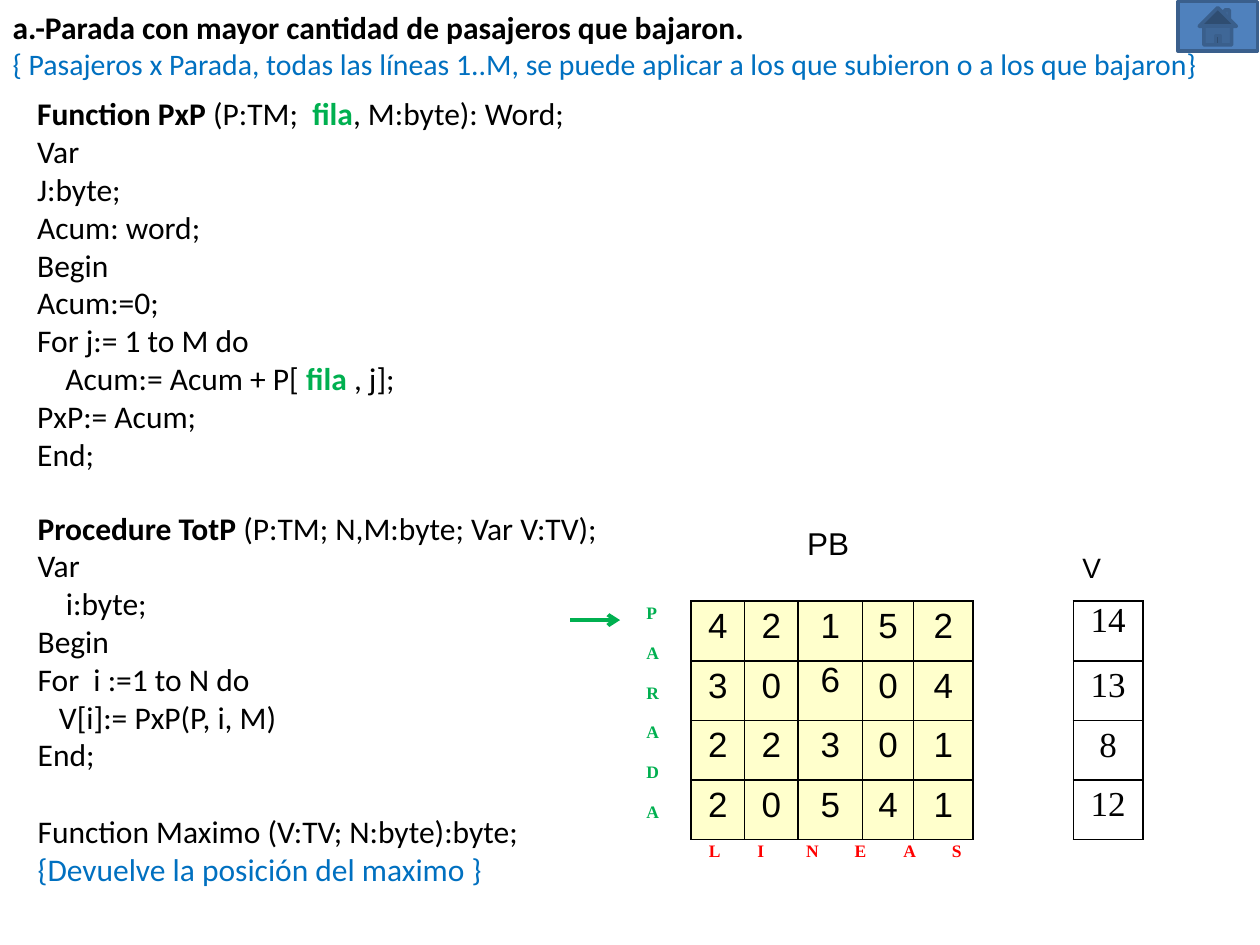
from lxml.etree import SubElement
from pptx import Presentation
from pptx.dml.color import RGBColor
from pptx.enum.shapes import MSO_CONNECTOR, MSO_SHAPE
from pptx.enum.text import MSO_ANCHOR, MSO_AUTO_SIZE, PP_ALIGN
from pptx.oxml.ns import qn
from pptx.util import Cm, Pt

COLORS = {
    "text": "000000", "comment": "0070C0", "stops": "00B050", "lines": "FF0000",
    "cell": "FFFFCC", "button": "4F81BD", "button_line": "3A5F8C",
}
PLAIN_TABLE_STYLE = "{2D5ABB26-0587-4C30-8999-92F81FD0307C}"
ROW_HEIGHT = 1.2

FUNCTION_CODE = [
    [("Function PxP ", {"bold": True}), ("(P:TM;  ", {}),
     ("fila", {"bold": True, "color": "stops"}), (", M:byte): Word;", {})],
    "Var",
    "J:byte;",
    "Acum: word;",
    "Begin",
    "Acum:=0;",
    "For j:= 1 to M do",
    [("Acum:= Acum + P[ ", {"indent": 0.57}),
     ("fila ", {"bold": True, "color": "stops"}), (", j];", {})],
    "PxP:= Acum;",
    "End;",
]
PROCEDURE_CODE = [
    [("Procedure TotP ", {"bold": True}), ("(P:TM; N,M:byte; Var V:TV);", {})],
    "Var",
    [("i:byte;", {"indent": 0.57})],
    "Begin",
    "For  i :=1 to N do",
    [("V[i]:= PxP(P, i, M)", {"indent": 0.43})],
    "End;",
    [("Function Maximo (V:TV; N:byte):byte;", {"before": 22})],
    [("{Devuelve la posición del maximo }", {"color": "comment"})],
]
PASSENGERS = [[4, 2, 1, 5, 2], [3, 0, 6, 0, 4], [2, 2, 3, 0, 1], [2, 0, 5, 4, 1]]
TOTALS = [14, 13, 8, 12]


def write(paragraph, text, size=18, font="Calibri", color="text", bold=False,
          align=None, spacing=None, before=None, after=None, indent=None):
    run = paragraph.add_run()
    run.text = text
    run.font.size, run.font.name, run.font.bold = Pt(size), font, bold
    run.font.color.rgb = RGBColor.from_string(COLORS[color])
    if align is not None:
        paragraph.alignment = align
    if spacing is not None:
        paragraph.line_spacing = spacing
    if before is not None:
        paragraph.space_before = Pt(before)
    if after is not None:
        paragraph.space_after = Pt(after)
    if indent is not None:
        properties = paragraph._p.get_or_add_pPr()
        properties.set("marL", str(Cm(indent)))
        properties.set("indent", "0")


def next_paragraph(text_frame, index):
    return text_frame.add_paragraph() if index else text_frame.paragraphs[0]


def add_heading(slide, box):
    title = slide.shapes.title
    title.left, title.top, title.width, title.height = map(Cm, box)
    frame = title.text_frame
    frame.word_wrap = True
    frame.auto_size = MSO_AUTO_SIZE.NONE
    frame.vertical_anchor = MSO_ANCHOR.TOP
    write(frame.paragraphs[0], "a.-Parada con mayor cantidad de pasajeros que bajaron.",
          bold=True, align=PP_ALIGN.LEFT)
    write(frame.add_paragraph(),
          "{ Pasajeros x Parada, todas las líneas 1..M, se puede aplicar "
          "a los que subieron o a los que bajaron}",
          size=17, color="comment", align=PP_ALIGN.LEFT)


def add_code(slide, box, lines):
    frame = slide.shapes.add_textbox(*map(Cm, box)).text_frame
    frame.word_wrap = True
    for index, line in enumerate(lines):
        paragraph = next_paragraph(frame, index)
        for text, options in [(line, {})] if isinstance(line, str) else line:
            write(paragraph, text, **options)


def add_home_button(slide, box):
    button = slide.shapes.add_shape(MSO_SHAPE.ACTION_BUTTON_HOME, *map(Cm, box))
    button.shadow.inherit = False
    button.fill.solid()
    button.fill.fore_color.rgb = RGBColor.from_string(COLORS["button"])
    button.line.color.rgb = RGBColor.from_string(COLORS["button_line"])
    button.line.width = Pt(2)


def add_plain_table(slide, left, top, widths, heights):
    """Add a table without style, with narrow cell margins."""
    frame = slide.shapes.add_table(len(heights), len(widths), Cm(left), Cm(top),
                                   Cm(sum(widths)), Cm(sum(heights)))
    table = frame.table
    table.first_row = table.horz_banding = False
    table._tbl.tblPr.find(qn("a:tableStyleId")).text = PLAIN_TABLE_STYLE
    for column, width in zip(table.columns, widths):
        column.width = Cm(width)
    for row, height in zip(table.rows, heights):
        row.height = Cm(height)
    for cell in table.iter_cells():
        cell.margin_left = cell.margin_right = Cm(0.18)
        cell.margin_top = cell.margin_bottom = 0
    return table


def add_borders(cell):
    properties = cell._tc.get_or_add_tcPr()
    for side in ("lnL", "lnR", "lnT", "lnB"):
        line = SubElement(properties, qn(f"a:{side}"), w=str(Pt(1)))
        SubElement(SubElement(line, qn("a:solidFill")), qn("a:srgbClr"), val=COLORS["text"])


def write_number(cell, number, font, spacing=1.15):
    add_borders(cell)
    write(cell.text_frame.paragraphs[0], str(number), size=20, font=font,
          align=PP_ALIGN.CENTER, spacing=spacing, after=10)


def write_spread(cell, letters, step):
    """Write letters in one line, spread by tab stops at equal steps."""
    cell.margin_left = Cm(0.36)
    paragraph = cell.text_frame.paragraphs[0]
    write(paragraph, "\t".join(letters), size=10, font="Times New Roman", color="lines",
          bold=True, align=PP_ALIGN.LEFT, spacing=1.15, after=10)
    stops = SubElement(paragraph._p.get_or_add_pPr(), qn("a:tabLst"))
    for index in range(1, len(letters)):
        SubElement(stops, qn("a:tab"), pos=str(Cm(step * index)), algn="l")


def add_passenger_matrix(slide, left, top):
    widths = [1.08, 1.08, 1.08, 1.3, 1.03, 1.19, 1.98]
    heights = [1.6] + [ROW_HEIGHT] * len(PASSENGERS) + [0.81]
    table = add_plain_table(slide, left, top, widths, heights)
    write(table.cell(0, 3).text_frame.paragraphs[0], "PB", font="Arial",
          align=PP_ALIGN.JUSTIFY, spacing=1.15, after=10)
    stops = table.cell(1, 0)
    stops.merge(table.cell(4, 0))
    for index, letter in enumerate("PARADA"):
        write(next_paragraph(stops.text_frame, index), letter, size=10,
              font="Times New Roman", color="stops", bold=True,
              align=PP_ALIGN.JUSTIFY, spacing=1.15, after=10)
    for row, numbers in enumerate(PASSENGERS, start=1):
        for column, number in enumerate(numbers, start=1):
            cell = table.cell(row, column)
            write_number(cell, number, "Arial", 1 if number == 6 else 1.15)
            cell.fill.solid()
            cell.fill.fore_color.rgb = RGBColor.from_string(COLORS["cell"])
    lines = table.cell(5, 1)
    lines.merge(table.cell(5, 5))
    write_spread(lines, "LINEAS", 0.98)


def add_total_vector(slide, left, top):
    table = add_plain_table(slide, left, top, [1.4], [1.8] + [ROW_HEIGHT] * len(TOTALS))
    header = table.cell(0, 0)
    header.margin_top = Cm(0.84)
    write(header.text_frame.paragraphs[0], "V", size=16, font="Arial",
          align=PP_ALIGN.JUSTIFY, after=10)
    for row, total in enumerate(TOTALS, start=1):
        write_number(table.cell(row, 0), total, "Times New Roman", 1 if row == 1 else 1.15)


def add_row_arrow(slide, left, top, length):
    arrow = slide.shapes.add_connector(MSO_CONNECTOR.STRAIGHT, Cm(left), Cm(top),
                                       Cm(left + length), Cm(top))
    arrow.line.color.rgb = RGBColor.from_string(COLORS["stops"])
    arrow.line.width = Pt(2.25)
    SubElement(arrow.line._get_or_add_ln(), qn("a:tailEnd"), type="arrow")
    SubElement(arrow._element.spPr, qn("a:effectLst"))


def main():
    presentation = Presentation()
    presentation.slide_width, presentation.slide_height = Cm(25.4), Cm(19.05)
    slide = presentation.slides.add_slide(presentation.slide_layouts[5])
    add_heading(slide, (0, 0.03, 25.7, 1.75))
    add_code(slide, (0.5, 1.78, 12.6, 7.95), FUNCTION_CODE)
    add_code(slide, (0.51, 10.13, 12.7, 7.95), PROCEDURE_CODE)
    add_home_button(slide, (23.75, 0.03, 1.6, 1))
    add_passenger_matrix(slide, 12.85, 10.52)
    add_total_vector(slide, 21.64, 10.32)
    add_row_arrow(slide, 11.5, 12.5, 1)
    presentation.save("out.pptx")


if __name__ == "__main__":
    main()
